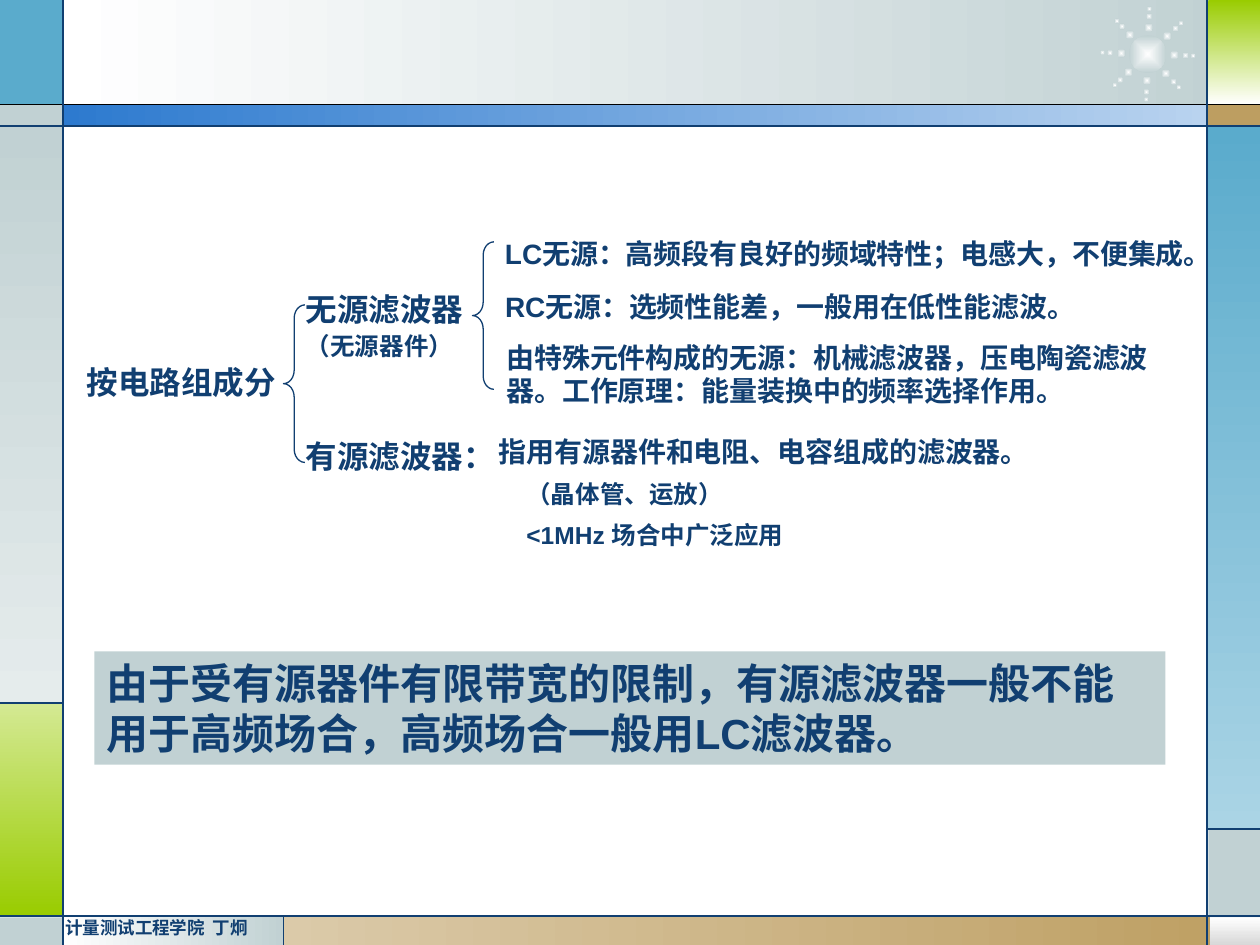
from math import cos, radians, sin

from lxml import etree
from pptx import Presentation
from pptx.dml.color import RGBColor
from pptx.enum.shapes import MSO_CONNECTOR, MSO_SHAPE
from pptx.enum.text import MSO_ANCHOR, MSO_AUTO_SIZE, PP_ALIGN
from pptx.oxml.ns import qn
from pptx.util import Inches, Pt

RECT, OVAL, BRACE = MSO_SHAPE.RECTANGLE, MSO_SHAPE.OVAL, MSO_SHAPE.LEFT_BRACE
STRAIGHT = MSO_CONNECTOR.STRAIGHT
TOP, LEFT, GROW = MSO_ANCHOR.TOP, PP_ALIGN.LEFT, MSO_AUTO_SIZE.SHAPE_TO_FIT_TEXT
LATIN, CJK = "Arial", "Noto Sans CJK SC"
NAVY, GREY, WHITE, BLUE = "113F71", "C1D1D3", "FFFFFF", "5AABCC"
TAN, GREEN = "BD9E61", "99CC00"
ACROSS, DOWN = 0, 270

# left, top, width, height, colours, gradient direction
PANELS = [
    (0.5, 0, 9.27, 0.84, (WHITE, GREY), ACROSS),
    (0, 0, 0.5, 0.84, (BLUE,), None),
    (0, 0.83, 0.5, 0.17, (GREY,), None),
    (0, 1, 0.5, 4.58, (GREY, "E5ECEC"), DOWN),
    (0, 5.58, 0.5, 1.69, ("D4E993", GREEN), DOWN),
    (0, 7.28, 0.5, 0.22, (GREY,), None),
    (0.5, 7.27, 1.75, 0.23, (WHITE, GREY), ACROSS),
    (2.25, 7.27, 7.75, 0.23, ("DBCAA9", TAN), ACROSS),
    (9.6, 7.28, 0.4, 0.22, (WHITE, "D8D8D8"), DOWN),
    (9.59, 6.58, 0.41, 0.7, (GREY,), None),
    (9.58, 1, 0.42, 5.58, (BLUE, "AAD4E5"), DOWN),
    (9.58, 0.83, 0.42, 0.17, (TAN,), None),
    (9.59, 0, 0.41, 0.83, (GREEN, WHITE), DOWN),
    (0.5, 0.83, 9.09, 0.17, ("2D7ACF", "B9D3EF"), ACROSS),
]

# x1, y1, x2, y2, colour
RULES = [
    (0, 0.83, 10, 0.83, "000000"),
    (0, 1, 10, 1, NAVY),
    (0, 7.27, 10, 7.27, NAVY),
    (0.5, 0, 0.5, 7.5, NAVY),
    (9.58, 0, 9.58, 7.5, NAVY),
    (0, 5.58, 0.5, 5.58, NAVY),
    (2.25, 7.27, 2.25, 7.5, NAVY),
    (9.58, 6.58, 10, 6.58, NAVY),
]

# left, top, width, height, size, wrap, text
LABELS = [
    (0.59, 2.83, 1.7, 0.4, 18, False, "按电路组成分"),
    (2.33, 2.25, 1.58, 0.4, 18, True, "无源滤波器"),
    (2.33, 3.42, 1.75, 0.4, 18, True, "有源滤波器："),
    (2.33, 2.58, 1.5, 0.34, 14, True, "（无源器件）"),
    (3.91, 1.83, 5.87, 0.37, 16, False,
     "LC无源：高频段有良好的频域特性；电感大，不便集成。"),
    (3.91, 2.25, 4.78, 0.37, 16, False,
     "RC无源：选频性能差，一般用在低性能滤波。"),
    (3.92, 2.65, 5.42, 0.64, 16, True,
     "由特殊元件构成的无源：机械滤波器，压电陶瓷滤波器。工作原理：能量装换中的频率选择作用。"),
    (3.86, 3.4, 4.41, 0.37, 16, False, "指用有源器件和电阻、电容组成的滤波器。"),
    (4.08, 3.75, 1.83, 0.34, 14, True, "（晶体管、运放）"),
    (4.08, 4.08, 2.33, 0.34, 14, True, "<1MHz 场合中广泛应用"),
]
BRACES = [(2.25, 2.42, 0.17, 1.25), (3.75, 1.92, 0.17, 1.17)]
CONCLUSION = "由于受有源器件有限带宽的限制，有源滤波器一般不能用于高频场合，高频场合一般用LC滤波器。"


def rgb(color):
    return RGBColor.from_string(color)


def set_fill(fill, colors, angle):
    if len(colors) == 1:
        fill.solid()
        fill.fore_color.rgb = rgb(colors[0])
        return
    fill.gradient()
    fill.gradient_angle = angle
    for stop, color in zip(fill.gradient_stops, colors):
        stop.color.rgb = rgb(color)


def add_panel(s, left, top, width, height, colors, angle=None, kind=RECT):
    box = map(Inches, (left, top, width, height))
    sp = s.shapes.add_shape(kind, *box)
    sp.shadow.inherit = False
    sp.line.fill.background()
    set_fill(sp.fill, colors, angle)
    return sp


def add_glow(s, x, y, size):
    """Dot centred at x, y that fades from its middle outward."""
    sp = add_panel(s, x - size / 2, y - size / 2, size, size, (WHITE, GREY), ACROSS, OVAL)
    lin = sp._element.spPr.find(qn("a:gradFill")).find(qn("a:lin"))
    grad = lin.getparent()
    center = etree.Element(qn("a:path"), path="rect")
    etree.SubElement(center, qn("a:fillToRect"), dict.fromkeys("ltrb", "50000"))
    grad.replace(lin, center)


def add_sparkle(s, x, y):
    add_glow(s, x, y, 0.3)
    for ray in range(8):
        angle = radians(45 * ray + 2)
        for reach, size in ((0.3, 0.05), (0.36, 0.04), (0.21, 0.07)):
            add_glow(s, x + reach * cos(angle), y + reach * sin(angle), size)


def add_rule(s, x1, y1, x2, y2, color):
    ln = s.shapes.add_connector(STRAIGHT, *map(Inches, (x1, y1, x2, y2)))
    ln.line.color.rgb = rgb(color)
    ln.line.width = Pt(0.75)
    etree.SubElement(ln._element.spPr, qn("a:effectLst"))


def add_brace(s, left, top, width, height):
    sp = s.shapes.add_shape(BRACE, *map(Inches, (left, top, width, height)))
    sp.shadow.inherit = False
    sp.fill.background()
    sp.line.color.rgb = rgb(NAVY)
    sp.line.width = Pt(0.75)
    sp.adjustments[0] = 0.62


def write(sp, text, size, wrap=True, font=LATIN, auto_size=GROW):
    tf = sp.text_frame
    frame = {"word_wrap": wrap, "auto_size": auto_size, "vertical_anchor": TOP}
    for name, value in frame.items():
        setattr(tf, name, value)
    p = tf.paragraphs[0]
    p.alignment = LEFT
    r = p.add_run()
    r.text = text
    for name, value in {"size": Pt(size), "bold": True, "name": font}.items():
        setattr(r.font, name, value)
    r.font.color.rgb = rgb(NAVY)
    etree.SubElement(r._r.get_or_add_rPr(), qn("a:ea"), typeface=CJK)


def add_label(s, left, top, width, height, size, wrap, text, **style):
    sp = s.shapes.add_textbox(*map(Inches, (left, top, width, height)))
    write(sp, text, size, wrap, **style)


def main():
    prs = Presentation()
    prs.slide_width, prs.slide_height = Inches(10), Inches(7.5)
    s = prs.slides.add_slide(prs.slide_layouts[6])

    # Frame
    for panel in PANELS:
        add_panel(s, *panel)
    add_sparkle(s, 9.11, 0.43)
    for rule in RULES:
        add_rule(s, *rule)
    add_label(s, 0.42, 7.23, 2.33, 0.27, 10, True, "计量测试工程学院  丁炯",
              font=CJK, auto_size=MSO_AUTO_SIZE.NONE)

    # Classification tree
    for brace in BRACES:
        add_brace(s, *brace)
    for label in LABELS:
        add_label(s, *label)

    # Conclusion
    write(add_panel(s, 0.75, 5.17, 8.5, 0.9, (GREY,)), CONCLUSION, 24)

    prs.save("out.pptx")


if __name__ == "__main__":
    main()
